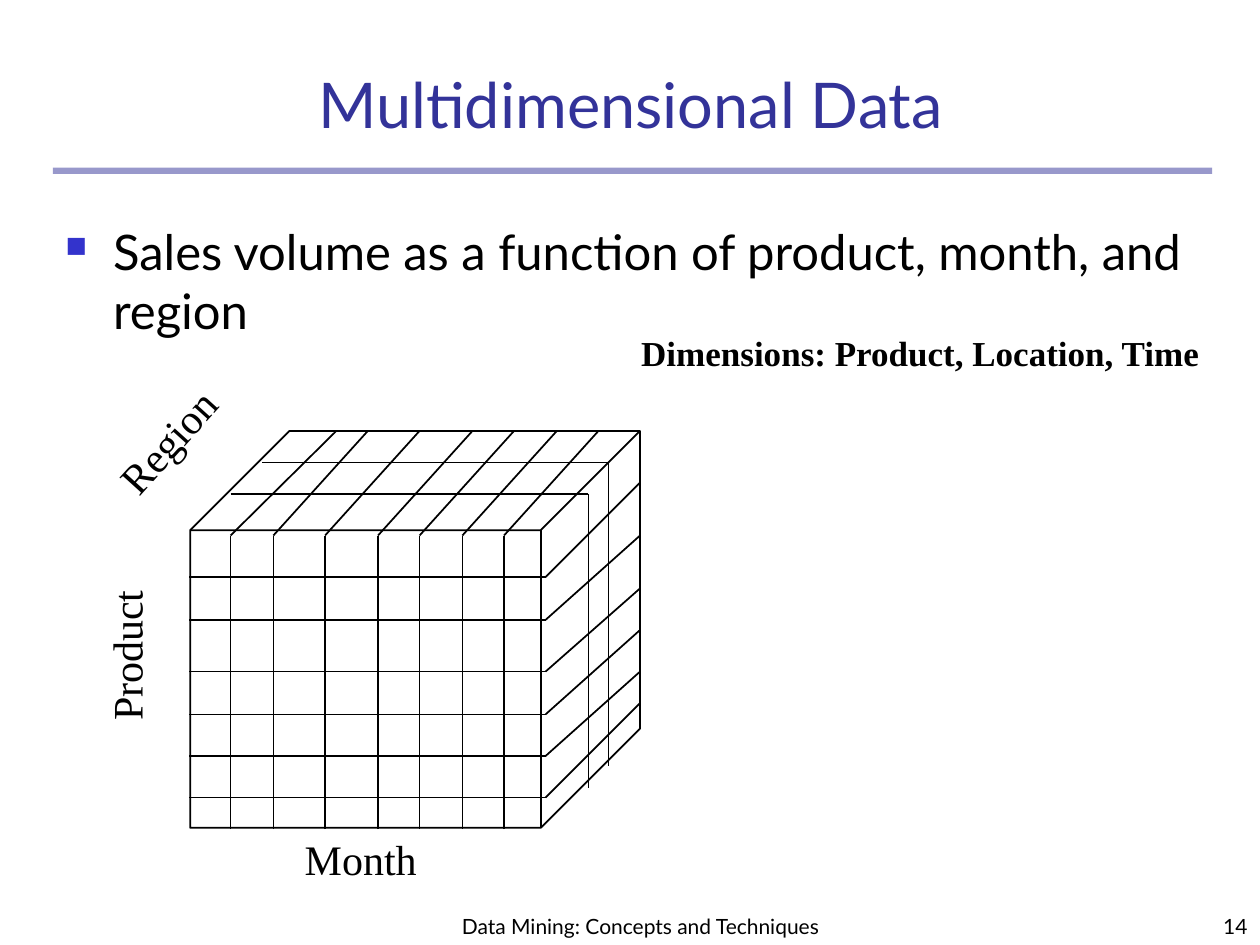
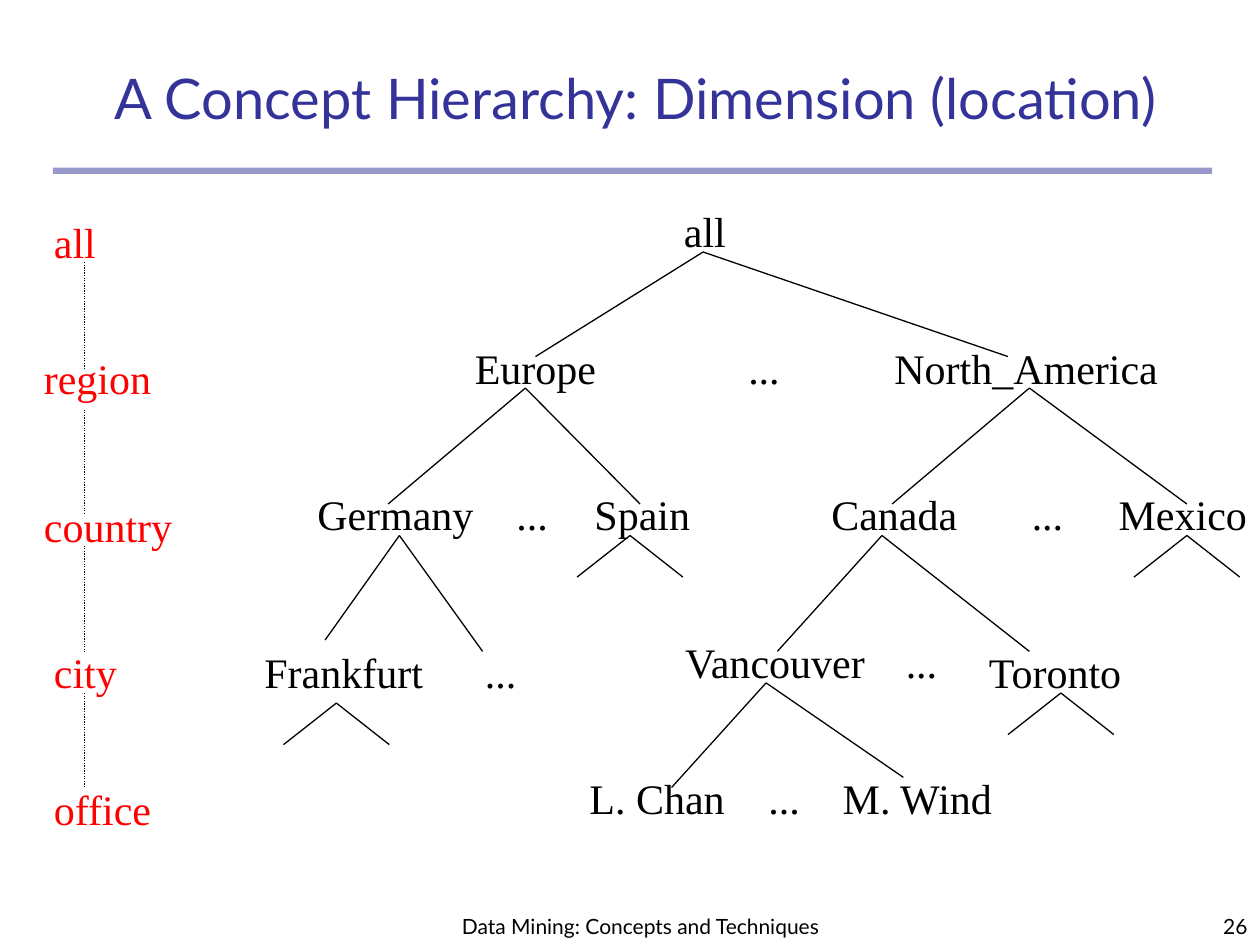
from lxml import etree
from pptx import Presentation
from pptx.dml.color import RGBColor
from pptx.enum.dml import MSO_LINE_DASH_STYLE as Dash
from pptx.enum.shapes import MSO_CONNECTOR as Connector, MSO_SHAPE as Shape
from pptx.enum.text import MSO_ANCHOR as Anchor, MSO_AUTO_SIZE as AutoSize, PP_ALIGN as Align
from pptx.oxml.ns import qn
from pptx.util import Inches, Pt

COLORS = {"title": "333399", "bullet": "3333CC", "ink": "000000", "level": "FF0000"}
SANS, SERIF = "Lato", "Times New Roman"
TITLE_ONLY = 5
FOOTER = "Data Mining: Concepts and Techniques"


def color(name):
    return RGBColor.from_string(COLORS[name])


class Deck:
    """Holds the style and the slide being built."""

    def __init__(self):
        self.presentation = Presentation()
        self.presentation.slide_width = Inches(10)
        self.presentation.slide_height = Inches(7.5)
        self.slide = None

    def new_slide(self, title, box, size, number):
        layout = self.presentation.slide_layouts[TITLE_ONLY]
        self.slide = self.presentation.slides.add_slide(layout)
        self.rule()
        placeholder = self.slide.shapes.title
        placeholder.left, placeholder.top, placeholder.width, placeholder.height = map(Inches, box)
        self.fill_text(placeholder, title, size, SANS, "title", Align.CENTER, Anchor.BOTTOM, wrap=True)
        self.text(FOOTER, (3.5, 6.92, 3.17, 0.58), 12, SANS,
                  align=Align.CENTER, anchor=Anchor.BOTTOM, wrap=True)
        self.text(str(number), (7.92, 7, 2.08, 0.5), 12, SANS,
                  align=Align.RIGHT, anchor=Anchor.BOTTOM, wrap=True)

    def rule(self):
        band = self.shape(Shape.RECTANGLE, (0.42, 1.33, 9.2, 0.05))
        band.fill.solid()
        band.fill.fore_color.rgb = color("title")
        band.line.fill.background()
        tint = band._element.spPr.find(qn("a:solidFill"))[0]
        etree.SubElement(tint, qn("a:alpha"), val="50000")

    def shape(self, kind, box):
        shape = self.slide.shapes.add_shape(kind, *map(Inches, box))
        shape.shadow.inherit = False
        return shape

    def fill_text(self, shape, text, size, font, ink, align, anchor, wrap, bold=False):
        frame = shape.text_frame
        frame.auto_size = AutoSize.NONE
        frame.word_wrap = wrap
        frame.vertical_anchor = anchor
        paragraph = frame.paragraphs[0]
        paragraph.alignment = align
        run = paragraph.add_run()
        run.text = text
        run.font.name, run.font.size, run.font.bold = font, Pt(size), bold
        run.font.color.rgb = color(ink)
        return paragraph

    def text(self, text, box, size=24, font=SERIF, ink="ink", align=Align.LEFT,
             anchor=Anchor.TOP, wrap=False, bold=False, rotation=0):
        shape = self.slide.shapes.add_textbox(*map(Inches, box))
        shape.rotation = rotation
        return self.fill_text(shape, text, size, font, ink, align, anchor, wrap, bold)

    def bullet(self, text, box):
        paragraph = self.text(text, box, 28, SANS, wrap=True)
        paragraph.space_before = Pt(7)
        properties = paragraph._p.get_or_add_pPr()
        properties.set("marL", str(Inches(0.38)))
        properties.set("indent", str(Inches(-0.38)))
        tint = etree.SubElement(properties, qn("a:buClr"))
        etree.SubElement(tint, qn("a:srgbClr"), val=COLORS["bullet"])
        etree.SubElement(properties, qn("a:buSzPct"), val="60000")
        etree.SubElement(properties, qn("a:buChar"), char="■")

    def line(self, start, end, width=0.75, dash=None):
        connector = self.slide.shapes.add_connector(
            Connector.STRAIGHT, *map(Inches, (*start, *end)))
        connector.line.color.rgb = color("ink")
        connector.line.width = Pt(width)
        if dash:
            connector.line.dash_style = dash
        etree.SubElement(connector._element.spPr, qn("a:effectLst"))

    def polyline(self, *points):
        for start, end in zip(points, points[1:]):
            self.line(start, end, width=1)

    def fork(self, peak, *ends):
        for end in ends:
            self.line(peak, end)


def build_cube(deck):
    deck.new_slide("Multidimensional Data", (0.42, 0.42, 9.17, 0.75), 36, 14)
    deck.bullet("Sales volume as a function of product, month, and region", (0.42, 1.71, 9.08, 5))

    cube = deck.shape(Shape.CUBE, (1.51, 3.42, 3.57, 3.15))
    cube.adjustments[0] = 0.25
    cube.fill.background()
    cube.line.color.rgb = color("ink")
    cube.line.width = Pt(1)

    # Product slices: across the front, then back along the side
    for front, back in ((4.58, 3.83), (4.92, 4.25), (5.33, 4.67),
                        (5.67, 5), (6, 5.33), (6.33, 5.58)):
        deck.polyline((1.5, front), (4.33, front), (5.08, back))
    # Month slices: up the front, then back over the top
    for front, back in ((1.83, 2.67), (2.17, 2.92), (2.58, 3.33), (3, 3.75),
                        (3.33, 4.08), (3.67, 4.42), (4, 4.75)):
        deck.polyline((front, 6.58), (front, 4.25), (back, 3.42))
    # Region slices: across the top, then down the side
    for left, right, top, bottom in ((2.08, 4.83, 3.67, 6.08), (1.83, 4.67, 3.92, 6.25)):
        deck.polyline((left, top), (right, top), (right, bottom))

    # Axis names
    deck.text("Product", (0.38, 4.95, 1.24, 0.5), rotation=270)
    deck.text("Region", (0.75, 3.25, 1.16, 0.5), rotation=312)
    deck.text("Month", (2.32, 6.57, 1.09, 0.5))
    deck.text("Dimensions: Product, Location, Time", (4.99, 2.58, 4.65, 0.77), 20, bold=True)


def build_hierarchy(deck):
    deck.new_slide("A Concept Hierarchy: Dimension (location)", (0.67, 0.42, 8.75, 0.67), 32, 26)

    # Level names and the dotted lines between them
    for name, left, top, width in (("all", 0.33, 1.67, 0.53), ("region", 0.25, 2.75, 1.05),
                                   ("country", 0.25, 3.92, 1.22), ("city", 0.33, 5.08, 0.7),
                                   ("office", 0.33, 6.17, 0.97)):
        deck.text(name, (left, top, width, 0.5), ink="level")
    for top, bottom in ((2.08, 2.92), (3.25, 4.08), (4.33, 5.17), (5.5, 6.25)):
        deck.line((0.67, top), (0.67, bottom), dash=Dash.ROUND_DOT)

    # Members of the tree, level by level
    members = (
        ("all", 5.33, 1.58, 0.53),
        ("Europe", 3.67, 2.67, 1.16), ("North_America", 7, 2.67, 2.29),
        ("Germany", 2.42, 3.83, 1.44), ("Spain", 4.62, 3.83, 0.96),
        ("Canada", 6.5, 3.83, 1.2), ("Mexico", 8.78, 3.83, 1.22),
        ("Frankfurt", 2, 5.08, 1.46), ("Vancouver", 5.34, 5, 1.66), ("Toronto", 7.75, 5.08, 1.27),
        ("L. Chan", 4.58, 6.08, 1.27), ("M. Wind", 6.59, 6.08, 1.4),
    )
    for name, left, top, width in members:
        deck.text(name, (left, top, width, 0.5))
    for left, top in ((5.84, 2.67), (4, 3.83), (8.09, 3.83), (3.75, 5.08), (7.09, 5), (6, 6.08)):
        deck.text("...", (left, top, 0.45, 0.5))

    # Branches to named members
    deck.fork((5.58, 2), (4.25, 2.83), (8, 2.83))
    deck.fork((4.17, 3.08), (3.08, 4), (5.08, 4))
    deck.fork((8.17, 3.08), (7.08, 4), (9.42, 4))
    deck.fork((3.17, 4.25), (2.58, 5.08), (3.83, 5.17))
    deck.fork((7, 4.25), (6.17, 5.17), (8.17, 5.17))
    deck.fork((6.08, 5.42), (5.33, 6.25), (7.17, 6.17))
    # Short branches left open
    for x, y in ((5, 4.25), (9.42, 4.25), (2.67, 5.58), (8.42, 5.5)):
        deck.fork((x, y), (x - 0.42, y + 0.33), (x + 0.42, y + 0.33))


def main():
    deck = Deck()
    build_cube(deck)
    build_hierarchy(deck)
    deck.presentation.save("out.pptx")


if __name__ == "__main__":
    main()
